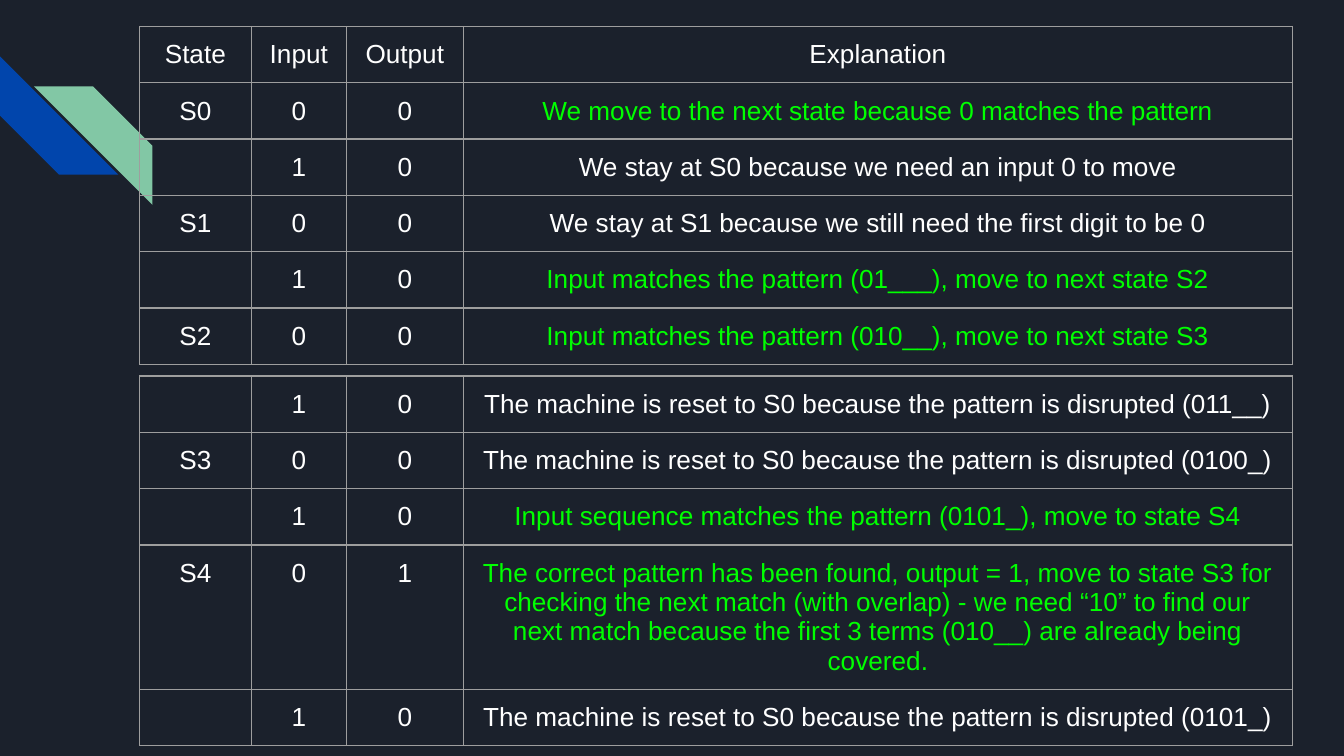
from dataclasses import dataclass

from lxml import etree
from pptx import Presentation
from pptx.dml.color import RGBColor
from pptx.enum import shapes, text
from pptx.oxml import ns
from pptx.util import Pt


@dataclass(frozen=True)
class Theme:
    back: str = "1B212C"
    blue: str = "0145AC"
    green: str = "82C7A5"
    plain: str = "FFFFFF"
    match: str = "00FF00"
    grid: str = "9E9E9E"
    font: str = "Arial"
    size: int = 14


THEME = Theme()
LEFT = 74.8
COLS = (59.8, 51, 62.6, 444.3)
ROW = 30.1
TALL = 77
PAD = 7.2
EDGE = 0.75
SIDE = 63.4

RESET = "The machine is reset to S0 because the pattern is disrupted "

FIRST = [
    ("State", "Input", "Output", "Explanation", THEME.plain),
    ("S0", "0", "0", "We move to the next state because 0 matches the pattern", THEME.match),
    ("", "1", "0", "We stay at S0 because we need an input 0 to move", THEME.plain),
    ("S1", "0", "0", "We stay at S1 because we still need the first digit to be 0", THEME.plain),
    ("", "1", "0", "Input matches the pattern (01___), move to next state S2", THEME.match),
    ("S2", "0", "0", "Input matches the pattern (010__), move to next state S3", THEME.match),
]

SECOND = [
    ("", "1", "0", RESET + "(011__)", THEME.plain),
    ("S3", "0", "0", RESET + "(0100_)", THEME.plain),
    ("", "1", "0", "Input sequence matches the pattern (0101_), move to state S4", THEME.match),
    ("S4", "0", "1",
     "The correct pattern has been found, output = 1, move to state S3 for "
     "checking the next match (with overlap) - we need “10” to find our next "
     "match because the first 3 terms (010__) are already being covered.", THEME.match),
    ("", "1", "0", RESET + "(0101_)", THEME.plain),
]


def paint(fill, color):
    fill.solid()
    fill.fore_color.rgb = RGBColor.from_string(color)


def add_stripe(slide, left, top, color, turn=0, flip=False):
    stripe = slide.shapes.add_shape(
        shapes.MSO_SHAPE.DIAGONAL_STRIPE, Pt(left), Pt(top), Pt(SIDE), Pt(SIDE))
    stripe.adjustments[0] = 0.5
    stripe.rotation = turn
    if flip:
        stripe._element.spPr.xfrm.set("flipH", "1")
    stripe.shadow.inherit = False
    stripe.line.fill.background()
    paint(stripe.fill, color)


def add_edges(cell):
    props = cell._tc.get_or_add_tcPr()
    for side in ("a:lnL", "a:lnR", "a:lnT", "a:lnB"):
        line = etree.SubElement(props, ns.qn(side), w=str(Pt(EDGE)))
        fill = etree.SubElement(line, ns.qn("a:solidFill"))
        etree.SubElement(fill, ns.qn("a:srgbClr"), val=THEME.grid)


def fill_cell(cell, words, color):
    add_edges(cell)
    cell.fill.background()
    if not words:
        return
    cell.margin_left = cell.margin_right = Pt(PAD)
    cell.margin_top = cell.margin_bottom = Pt(PAD)
    cell.text = words
    para = cell.text_frame.paragraphs[0]
    para.alignment = text.PP_ALIGN.CENTER
    para.font.name = THEME.font
    para.font.size = Pt(THEME.size)
    para.font.color.rgb = RGBColor.from_string(color)


def add_grid(slide, top, rows, tall=None):
    highs = [TALL if i == tall else ROW for i in range(len(rows))]
    table = slide.shapes.add_table(
        len(rows), len(COLS), Pt(LEFT), Pt(top), Pt(sum(COLS)), Pt(sum(highs))).table
    table.first_row = table.horz_banding = False
    for col, width in zip(table.columns, COLS):
        col.width = Pt(width)
    for row, high, (*short, note, color) in zip(table.rows, highs, rows):
        row.height = Pt(high)
        for cell, words in zip(row.cells, short):
            fill_cell(cell, words, THEME.plain)
        fill_cell(row.cells[len(short)], note, color)


def main():
    deck = Presentation()
    deck.slide_width, deck.slide_height = Pt(720), Pt(405)
    slide = deck.slides.add_slide(deck.slide_layouts[6])
    paint(slide.background.fill, THEME.back)
    add_stripe(slide, 0, 30.2, THEME.blue, turn=270)
    add_stripe(slide, 18.2, 46.3, THEME.green, flip=True)
    add_grid(slide, 14.2, FIRST)
    add_grid(slide, 201.5, SECOND, tall=3)
    deck.save("out.pptx")


if __name__ == "__main__":
    main()
